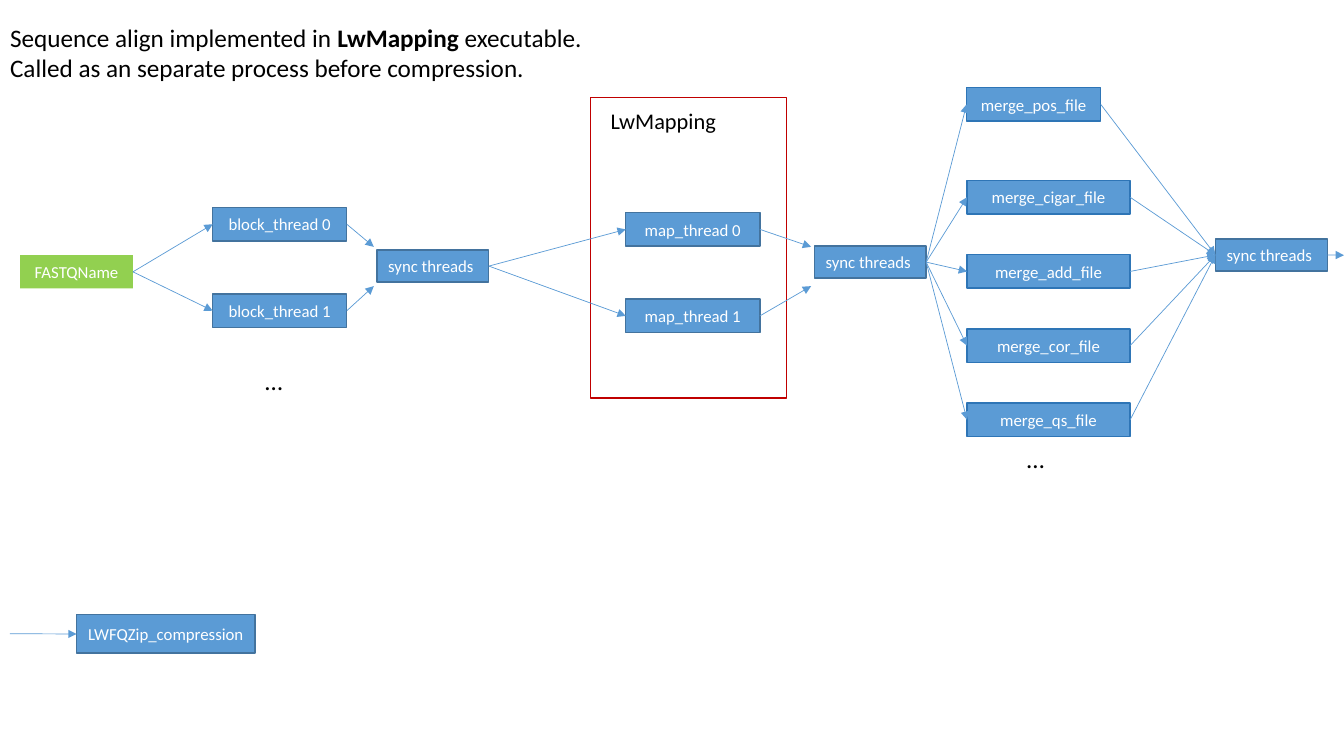
from dataclasses import dataclass

from lxml.etree import SubElement
from pptx import Presentation
from pptx.dml.color import RGBColor as RGB
from pptx.enum.shapes import MSO_CONNECTOR as Line, MSO_SHAPE as Shape
from pptx.enum.text import MSO_ANCHOR as Anchor, MSO_AUTO_SIZE as Auto, PP_ALIGN as Align
from pptx.oxml.ns import qn
from pptx.util import Cm, Pt

TITLE = [
    [("Sequence align implemented in ", False), ("LwMapping", True), (" executable.", False)],
    [("Called as an separate process before compression.", False)],
]
BLOCKS = ["block_thread 0", "block_thread 1"]
MAPS = ["map_thread 0", "map_thread 1"]
MERGES = ["merge_cigar_file", "merge_add_file", "merge_cor_file", "merge_qs_file"]
SYNC = "sync threads "
SYNC_POINTS = [(9.5, 6.3), (20.52, 6.2), (30.63, 6.02)]
FRAME = (14.88, 2.46, 4.95, 7.57)
LABELS = [
    ("LwMapping", 15.14, 2.57, 3.18, 0.94, 16),
    ("…", 6.43, 9.09, 1.55, 1.02, 18),
    ("…", 25.63, 11.05, 1.55, 1.02, 18),
]

SLIDE_W, SLIDE_H = 33.87, 19.05
BOX_W, BOX_H, MERGE_W = 3.38, 0.84, 4.11
SYNC_W, SYNC_H = 2.82, 0.81
THREAD_PITCH, MERGE_PITCH = 2.18, 1.87
SYNC_GAP, SYNC_INLETS = 0.08, (6.22, 7.21)
LEFT, RIGHT = 1, 3


@dataclass(frozen=True)
class Theme:
    font: str = "Calibri"
    title: int = 18
    box: int = 12
    text: RGB = RGB(0, 0, 0)
    light: RGB = RGB(255, 255, 255)
    blue: RGB = RGB(0x5B, 0x9B, 0xD5)
    green: RGB = RGB(0x92, 0xD0, 0x50)
    edge: RGB = RGB(0x43, 0x73, 0x9E)
    merge_edge: RGB = RGB(0x2E, 0x75, 0xB6)
    frame: RGB = RGB(0xC0, 0, 0)


T = Theme()


def style(p, size, color, align=Align.LEFT):
    p.font.name, p.font.size, p.font.color.rgb = T.font, Pt(size), color
    p.alignment = align


def add_title(s):
    sp = s.shapes.title
    sp.left, sp.top, sp.width, sp.height = map(Cm, (0, 0.43, 15.09, 1.8))
    tf = sp.text_frame
    tf.word_wrap, tf.auto_size, tf.vertical_anchor = False, Auto.NONE, Anchor.TOP
    for i, runs in enumerate(TITLE):
        p = tf.add_paragraph() if i else tf.paragraphs[0]
        style(p, T.title, T.text)
        p.line_spacing, p.space_before = 1.0, Pt(0)
        for text, bold in runs:
            r = p.add_run()
            r.text, r.font.bold = text, bold


def add_rect(s, x, y, w, h, fill=None, edge=None):
    sp = s.shapes.add_shape(Shape.RECTANGLE, Cm(x), Cm(y), Cm(w), Cm(h))
    sp.shadow.inherit = False
    if fill is None:
        sp.fill.background()
    else:
        sp.fill.solid()
        sp.fill.fore_color.rgb = fill
    if edge is None:
        sp.line.fill.background()
    else:
        sp.line.color.rgb, sp.line.width = edge, Pt(1)
    return sp


def add_box(s, text, x, y, w=BOX_W, h=BOX_H, fill=T.blue, edge=T.edge):
    sp = add_rect(s, x, y, w, h, fill, edge)
    tf = sp.text_frame
    tf.vertical_anchor = Anchor.MIDDLE
    tf.text = text
    style(tf.paragraphs[0], T.box, T.light, Align.CENTER)
    return sp


def add_column(s, names, x, y, pitch, **look):
    return [add_box(s, name, x, y + i * pitch, **look) for i, name in enumerate(names)]


def add_label(s, text, x, y, w, h, size):
    tf = s.shapes.add_textbox(Cm(x), Cm(y), Cm(w), Cm(h)).text_frame
    tf.word_wrap = True
    tf.text = text
    style(tf.paragraphs[0], size, T.text)


def add_arrow(s, start, end):
    ends = [e if isinstance(e, tuple) else (0, 0) for e in (start, end)]
    (x1, y1), (x2, y2) = ends
    c = s.shapes.add_connector(Line.STRAIGHT, Cm(x1), Cm(y1), Cm(x2), Cm(y2))
    if not isinstance(start, tuple):
        c.begin_connect(start, RIGHT)
    if not isinstance(end, tuple):
        c.end_connect(end, LEFT)
    c.line.color.rgb, c.line.width = T.blue, Pt(0.5)
    SubElement(c.line._get_or_add_ln(), qn("a:tailEnd"), type="triangle")
    SubElement(c._element.spPr, qn("a:effectLst"))


def main():
    prs = Presentation()
    prs.slide_width, prs.slide_height = Cm(SLIDE_W), Cm(SLIDE_H)
    s = prs.slides.add_slide(prs.slide_layouts[5])
    add_title(s)

    source = add_box(s, "FASTQName", 0.51, 6.43, w=2.84, fill=T.green, edge=None)
    blocks = add_column(s, BLOCKS, 5.36, 5.23, THREAD_PITCH)
    maps = add_column(s, MAPS, 15.77, 5.36, THREAD_PITCH)
    merges = [add_box(s, "merge_pos_file", 24.36, 2.21, edge=T.merge_edge)]
    merges += add_column(s, MERGES, 24.37, 4.55, MERGE_PITCH, w=MERGE_W, edge=T.merge_edge)
    syncs = [add_box(s, SYNC, x, y, SYNC_W, SYNC_H) for x, y in SYNC_POINTS]
    compression = add_box(s, "LWFQZip_compression", 1.93, 15.49, 4.5, 0.97)
    add_rect(s, *FRAME, edge=T.frame)
    for label in LABELS:
        add_label(s, *label)

    block_sync, map_sync, merge_sync = syncs
    links = [(source, b) for b in blocks]
    links += [(block_sync, m) for m in maps]
    links += [(map_sync, m) for m in merges]
    links += [(m, merge_sync) for m in merges]
    for threads, (x, _) in zip((blocks, maps), SYNC_POINTS):
        links += [(t, (x - SYNC_GAP, y)) for t, y in zip(threads, SYNC_INLETS)]
    links += [(merge_sync, (SLIDE_W, 6.43)), ((0.25, 15.97), compression)]
    for start, end in links:
        add_arrow(s, start, end)

    prs.save("out.pptx")


if __name__ == "__main__":
    main()
